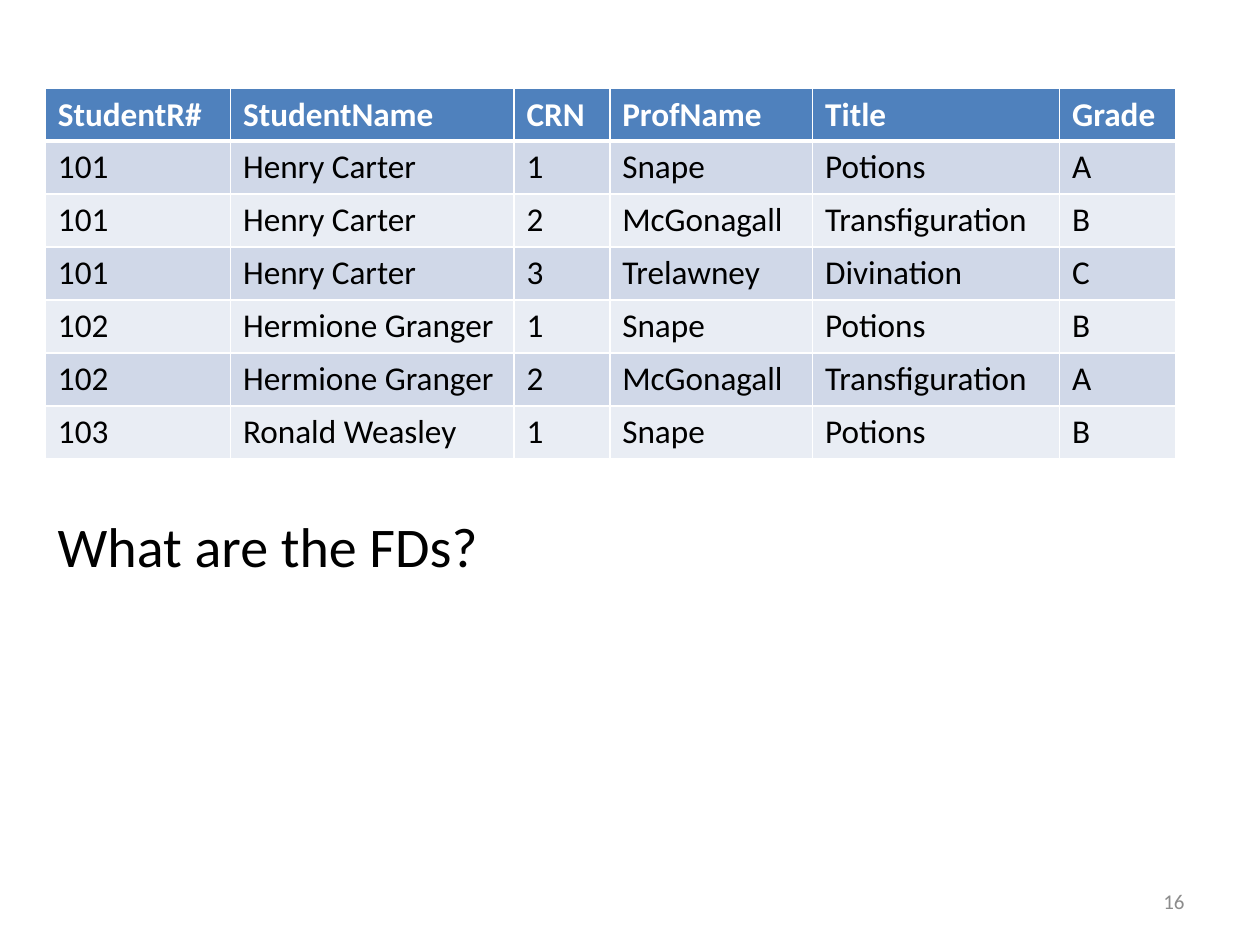
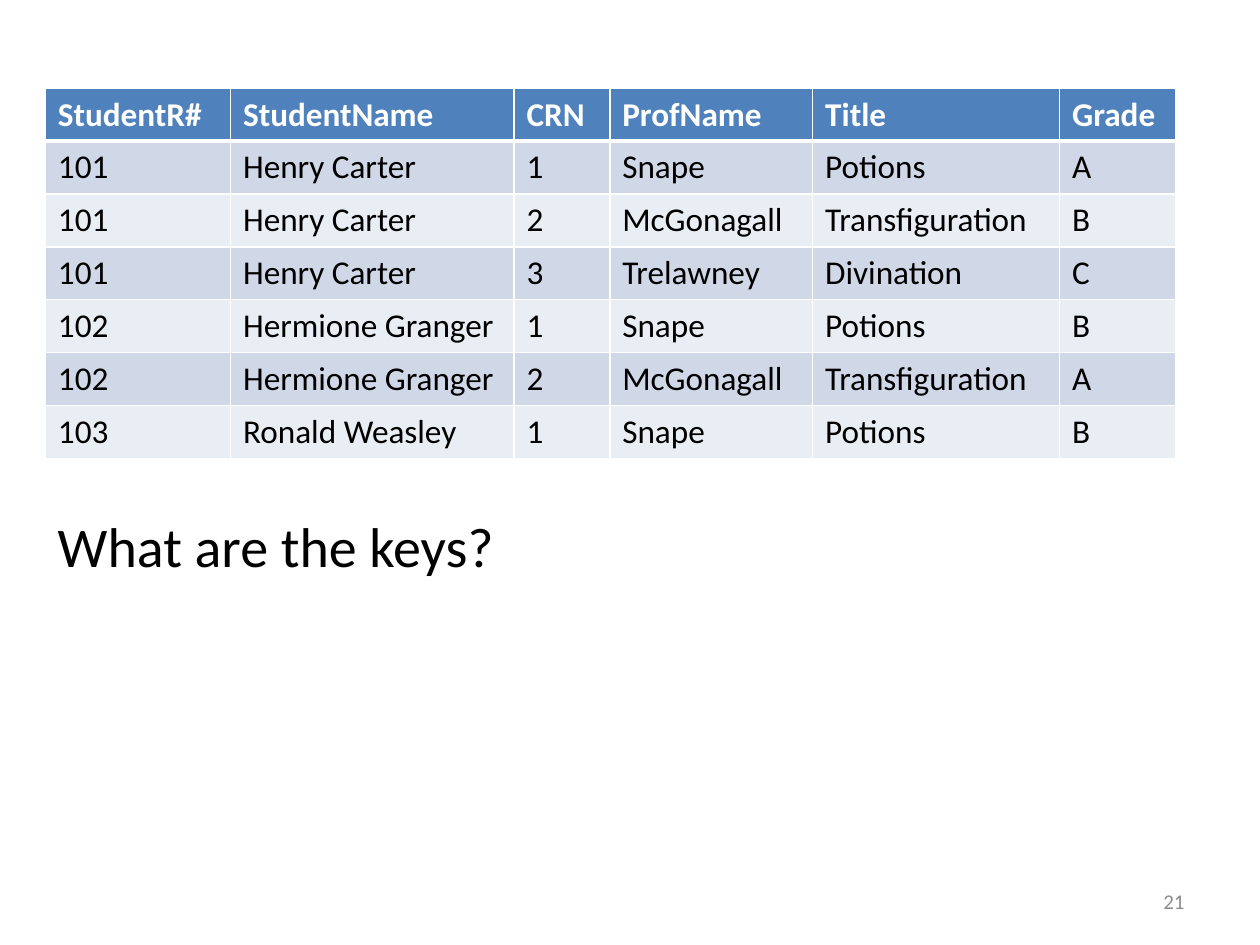
"""Build two slides that ask about a table of student grades."""
import lxml.etree
import pptx
import pptx.dml.color
import pptx.enum.text
import pptx.oxml.ns
import pptx.util

Inches = pptx.util.Inches
Pt = pptx.util.Pt
qn = pptx.oxml.ns.qn

COLORS = {
    "head": "4F81BD",
    "odd": "D0D8E8",
    "even": "E9EDF4",
    "white": "FFFFFF",
    "black": "000000",
    "gray": "8C8C8C",
}
LEFT = 0.36
WIDTHS = [1.47, 2.25, 0.76, 1.61, 1.96, 0.92]
HEIGHT = 0.42
GRADES = [
    ["StudentR#", "StudentName", "CRN", "ProfName", "Title", "Grade"],
    ["101", "Henry Carter", "1", "Snape", "Potions", "A"],
    ["101", "Henry Carter", "2", "McGonagall", "Transfiguration", "B"],
    ["101", "Henry Carter", "3", "Trelawney", "Divination", "C"],
    ["102", "Hermione Granger", "1", "Snape", "Potions", "B"],
    ["102", "Hermione Granger", "2", "McGonagall", "Transfiguration", "A"],
    ["103", "Ronald Weasley", "1", "Snape", "Potions", "B"],
]
SLIDES = [("What are the FDs?", 6.7, "16"), ("What are the keys?", 7.21, "21")]


class Deck:
    """Hold the style and the current slide."""

    def __init__(self):
        self.show = pptx.Presentation()
        self.show.slide_width = Inches(10)
        self.show.slide_height = Inches(7.5)
        self.slide = None

    def add(self):
        self.slide = self.show.slides.add_slide(self.show.slide_layouts[6])

    def color(self, name):
        return pptx.dml.color.RGBColor.from_string(COLORS[name])

    def style(self, par, size, color, bold=False):
        par.font.name = "Calibri"
        par.font.size = Pt(size)
        par.font.bold = bold
        par.font.color.rgb = self.color(color)

    def text(self, words, box, size, color):
        frame = self.slide.shapes.add_textbox(*map(Inches, box)).text_frame
        frame.word_wrap = True
        frame.text = words
        self.style(frame.paragraphs[0], size, color)
        return frame

    def footer(self, number):
        frame = self.text(number, (7.17, 6.95, 2.33, 0.4), 12, "gray")
        frame.vertical_anchor = pptx.enum.text.MSO_ANCHOR.MIDDLE
        frame.paragraphs[0].alignment = pptx.enum.text.PP_ALIGN.RIGHT

    def border(self, cell, sides):
        props = cell._tc.get_or_add_tcPr()
        for side, width in sides.items():
            line = lxml.etree.SubElement(props, qn(f"a:ln{side}"), w=str(Pt(width)))
            fill = lxml.etree.SubElement(line, qn("a:solidFill"))
            lxml.etree.SubElement(fill, qn("a:srgbClr"), val=COLORS["white"])

    def table(self, rows, top):
        box = LEFT, top, sum(WIDTHS), HEIGHT * len(rows)
        grid = self.slide.shapes.add_table(
            len(rows), len(WIDTHS), *map(Inches, box)).table
        for col, width in zip(grid.columns, WIDTHS):
            col.width = Inches(width)
        for r, row in enumerate(rows):
            grid.rows[r].height = Inches(HEIGHT)
            head = r == 0
            band = "head" if head else ("even", "odd")[r % 2]
            sides = {"L": 1, "R": 1, "T": 3 if r == 1 else 1, "B": 3 if head else 1}
            for c, words in enumerate(row):
                cell = grid.cell(r, c)
                cell.text = words
                self.border(cell, sides)
                cell.fill.solid()
                cell.fill.fore_color.rgb = self.color(band)
                self.style(cell.text_frame.paragraphs[0], 19,
                           "white" if head else "black", head)


def main():
    deck = Deck()
    for query, width, number in SLIDES:
        deck.add()
        deck.table(GRADES, 0.7)
        deck.text(query, (LEFT, 4.01, width, 0.64), 32, "black")
        deck.footer(number)
    deck.show.save("out.pptx")


if __name__ == "__main__":
    main()
